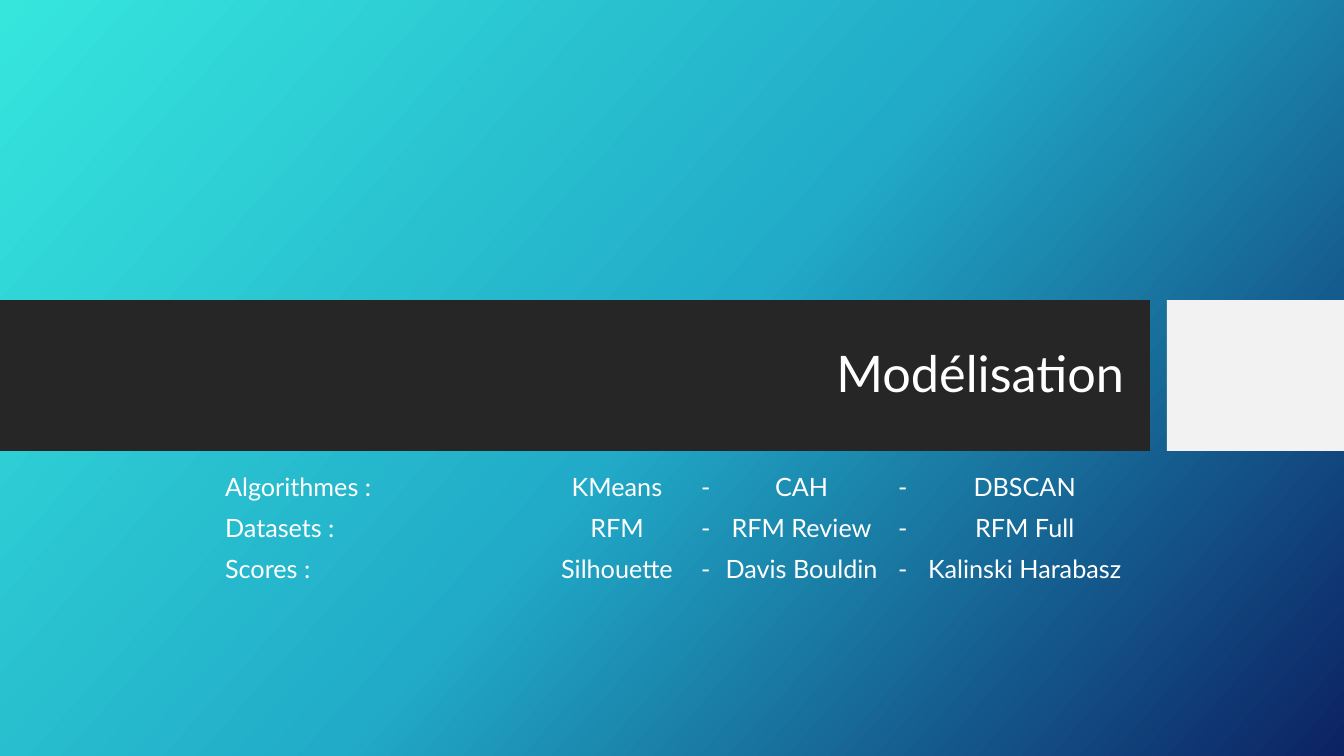
from copy import deepcopy

from pptx import Presentation
from pptx.dml.color import RGBColor
from pptx.enum.shapes import MSO_SHAPE
from pptx.enum.text import MSO_ANCHOR, PP_ALIGN
from pptx.oxml.ns import qn
from pptx.util import Pt

EMU_PER_PX = 914400 / 100.8
FONT = "Lato"
NO_TABLE_STYLE = "{2D5ABB26-0587-4C30-8999-92F81FD0307C}"

AQUA = RGBColor(0x36, 0xE6, 0xDD)
CYAN = RGBColor(0x21, 0xAB, 0xC8)
NAVY = RGBColor(0x0C, 0x22, 0x63)
CHARCOAL = RGBColor(0x26, 0x26, 0x26)
PALE_GREY = RGBColor(0xF2, 0xF2, 0xF2)
WHITE = RGBColor(0xFF, 0xFF, 0xFF)

MODEL_CHOICES = [
    ("Algorithmes :", "KMeans", "CAH", "DBSCAN"),
    ("Datasets :", "RFM", "RFM Review", "RFM Full"),
    ("Scores :", "Silhouette", "Davis Bouldin", "Kalinski Harabasz"),
]
COLUMN_WIDTHS = [328, 148, 23, 173, 23, 225]
ROW_HEIGHT = 41


def px(length):
    return round(length * EMU_PER_PX)


class SlideBuilder:
    def __init__(self, presentation):
        self.slide = presentation.slides.add_slide(presentation.slide_layouts[6])

    def gradient_background(self, colors, angle):
        fill = self.slide.background.fill
        fill.gradient()
        fill.gradient_angle = 360 - angle
        stop_list = next(self.slide.element.iter(qn("a:gsLst")))
        while len(stop_list) < len(colors):
            stop_list.append(deepcopy(stop_list[0]))
        for index, (stop, color) in enumerate(zip(fill.gradient_stops, colors)):
            stop.color.rgb = color
            stop.position = index / (len(colors) - 1)

    def rectangle(self, left, top, width, height, color):
        shape = self.slide.shapes.add_shape(
            MSO_SHAPE.RECTANGLE, px(left), px(top), px(width), px(height))
        shape.shadow.inherit = False
        shape.fill.solid()
        shape.fill.fore_color.rgb = color
        shape.line.fill.background()

    def add_text(self, text_frame, text, size, alignment):
        paragraph = text_frame.paragraphs[0]
        paragraph.alignment = alignment
        run = paragraph.add_run()
        run.text = text
        run.font.name = FONT
        run.font.size = Pt(size)
        run.font.color.rgb = WHITE
        return paragraph

    def title(self, left, top, width, height, text):
        text_box = self.slide.shapes.add_textbox(px(left), px(top), px(width), px(height))
        text_frame = text_box.text_frame
        text_frame.word_wrap = True
        text_frame.vertical_anchor = MSO_ANCHOR.MIDDLE
        paragraph = self.add_text(text_frame, text, 36, PP_ALIGN.RIGHT)
        paragraph.line_spacing = 0.9

    def table(self, left, top, rows, column_widths, row_height):
        frame = self.slide.shapes.add_table(
            len(rows), len(column_widths), px(left), px(top),
            px(sum(column_widths)), px(row_height * len(rows)))
        table = frame.table
        table.first_row = False
        table.horz_banding = False
        next(frame.element.iter(qn("a:tableStyleId"))).text = NO_TABLE_STYLE
        for column, width in zip(table.columns, column_widths):
            column.width = px(width)
        for row, texts in zip(table.rows, rows):
            row.height = px(row_height)
            for index, (cell, text) in enumerate(zip(row.cells, texts)):
                cell.fill.background()
                alignment = PP_ALIGN.CENTER if index else PP_ALIGN.LEFT
                self.add_text(cell.text_frame, text, 18, alignment)


def main():
    presentation = Presentation()
    presentation.slide_width = px(1344)
    presentation.slide_height = px(756)
    builder = SlideBuilder(presentation)

    # Background and title band
    builder.gradient_background([AQUA, CYAN, NAVY], 42)
    builder.rectangle(0, 300, 1150, 151, CHARCOAL)
    builder.rectangle(1167, 300, 177, 151, PALE_GREY)
    builder.title(75, 316, 1059, 120, "Modélisation")

    # Model choices, with a dash column between the options
    rows = [(label, first, "-", second, "-", third)
            for label, first, second, third in MODEL_CHOICES]
    builder.table(215, 467, rows, COLUMN_WIDTHS, ROW_HEIGHT)

    presentation.save("out.pptx")


if __name__ == "__main__":
    main()
